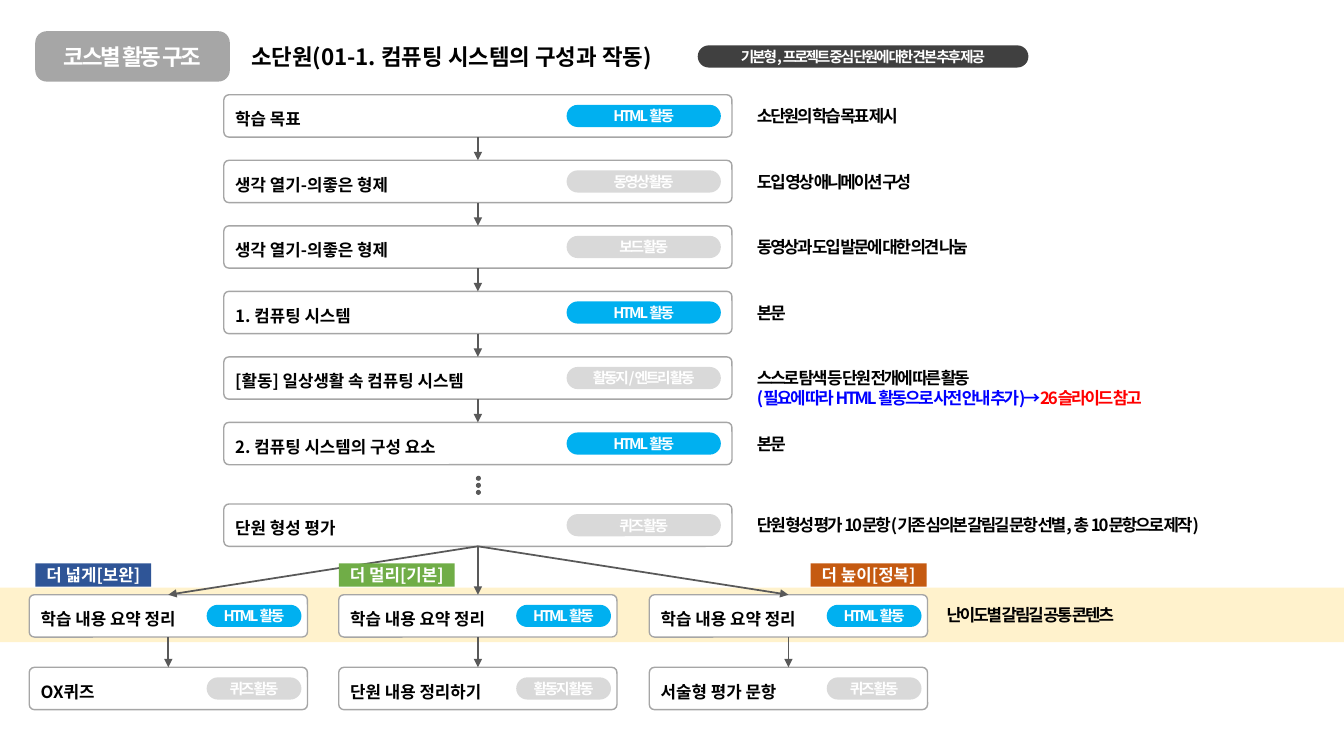
from lxml.etree import SubElement
from pptx import Presentation
from pptx.dml.color import RGBColor
from pptx.enum.shapes import MSO_CONNECTOR, MSO_SHAPE
from pptx.enum.text import MSO_ANCHOR, MSO_AUTO_SIZE, PP_ALIGN
from pptx.oxml.ns import qn
from pptx.util import Inches, Pt

FONT = "Noto Sans CJK KR"
BLACK = RGBColor(0x00, 0x00, 0x00)
WHITE = RGBColor(0xFF, 0xFF, 0xFF)
BLUE = RGBColor(0x00, 0x00, 0xFF)
RED = RGBColor(0xFF, 0x00, 0x00)
GREY = RGBColor(0xA6, 0xA6, 0xA6)
ARROW_GREY = RGBColor(0x59, 0x59, 0x59)
BADGE_GREY = RGBColor(0x40, 0x40, 0x40)
PILL_GREY = RGBColor(0xD9, 0xD9, 0xD9)
PILL_BLUE = RGBColor(0x00, 0xB0, 0xF0)
CREAM = RGBColor(0xFF, 0xF2, 0xCC)
NAVY = RGBColor(0x2F, 0x55, 0x97)
GREEN = RGBColor(0x70, 0xAD, 0x47)
ORANGE = RGBColor(0xC5, 0x5A, 0x11)

HTML = "HTML 활동"
QUIZ = "퀴즈 활동"
BOX_H = 0.42
STEP_X, STEP_W, STEP_TOP, STEP_PITCH = 2.22, 5.04, 0.94, 0.65
ASSESS_TOP = 5
BRANCH_W, SUMMARY_TOP, TASK_TOP = 2.76, 5.9, 6.62

STEPS = [
    ("학습 목표", HTML, "소단원의 학습 목표 제시"),
    ("생각 열기-의좋은 형제", "동영상 활동", "도입 영상 애니메이션 구성"),
    ("생각 열기-의좋은 형제", "보드 활동", "동영상과 도입 발문에 대한 의견 나눔"),
    ("1. 컴퓨팅 시스템", HTML, "본문"),
    ("[활동] 일상생활 속 컴퓨팅 시스템", "활동지/엔트리 활동",
     "스스로 탐색 등 단원 전개에 따른 활동"),
    ("2. 컴퓨팅 시스템의 구성 요소", HTML, "본문"),
]
ACTIVITY_STEP = 4
# box left, tag left, tag text, tag colour, task, task activity
BRANCHES = [
    (0.29, 0.35, "더 넓게[보완]", NAVY, "OX퀴즈", QUIZ),
    (3.36, 3.36, "더 멀리[기본]", GREEN, "단원 내용 정리하기", "활동지 활동"),
    (6.44, 8.04, "더 높이[정복]", ORANGE, "서술형 평가 문항", QUIZ),
]


def style(p, size, color, spacing=None):
    """Bold font for Latin and Korean letters, with optional tracking in points."""
    p.font.size, p.font.bold, p.font.name = Pt(size), True, FONT
    p.font.color.rgb = color
    rpr = p._p.get_or_add_pPr().get_or_add_defRPr()
    SubElement(rpr, qn("a:ea"), typeface=FONT)
    if spacing:
        rpr.set("spc", str(int(spacing * 100)))


def add_block(shapes, kind, x, y, w, h, fill=None, line=None, adj=None):
    sp = shapes.add_shape(kind, Inches(x), Inches(y), Inches(w), Inches(h))
    sp.shadow.inherit = False
    if adj is not None:
        sp.adjustments[0] = adj
    if fill is None:
        sp.fill.background()
    else:
        sp.fill.solid()
        sp.fill.fore_color.rgb = fill
    if line is None:
        sp.line.fill.background()
    else:
        sp.line.color.rgb = line
        sp.line.width = Pt(1)
    return sp


def add_label(s, x, y, w, h, text, fill, size=10.5, adj=0.5, spacing=-1.5):
    """Filled block with centred white text."""
    sp = add_block(s.shapes, MSO_SHAPE.ROUNDED_RECTANGLE, x, y, w, h, fill, adj=adj)
    tf = sp.text_frame
    tf.vertical_anchor = MSO_ANCHOR.MIDDLE
    p = tf.paragraphs[0]
    p.text, p.alignment = text, PP_ALIGN.CENTER
    style(p, size, WHITE, spacing)
    return tf


def add_box(s, x, y, w, text, activity, pill_x, pill_w, fill=None):
    """Outlined box with a pill that names its activity."""
    sp = add_block(s.shapes, MSO_SHAPE.ROUNDED_RECTANGLE, x, y, w, BOX_H,
                   fill, GREY, 0.122)
    sp.text_frame.vertical_anchor = MSO_ANCHOR.MIDDLE
    p = sp.text_frame.paragraphs[0]
    p.text, p.alignment, p.line_spacing = text, PP_ALIGN.LEFT, 1.3
    style(p, 12, BLACK)
    add_label(s, x + pill_x, y + 0.1, pill_w, 0.22, activity,
              PILL_BLUE if activity == HTML else PILL_GREY)
    return sp


def add_step(s, y, text, activity):
    return add_box(s, STEP_X, y, STEP_W, text, activity, 3.4, 1.53)


def add_branch_box(s, x, y, text, activity, fill=None):
    return add_box(s, x, y, BRANCH_W, text, activity, 1.76, 0.94, fill)


def add_note(s, x, y, w, text, h=0.3):
    tf = s.shapes.add_textbox(Inches(x), Inches(y), Inches(w), Inches(h)).text_frame
    tf.word_wrap = True
    tf.auto_size = MSO_AUTO_SIZE.SHAPE_TO_FIT_TEXT
    p = tf.paragraphs[0]
    p.text = text
    style(p, 12, BLACK, -1.5)
    return tf


def add_activity_hint(tf):
    p = tf.add_paragraph()
    style(p, 12, BLACK, -1.5)
    for text, color in (("(필요에 따라 HTML 활동으로 사전 안내 추가)→", BLUE),
                        ("26슬라이드 참고", RED)):
        r = p.add_run()
        r.text = text
        r.font.color.rgb = color


def add_arrow(s, upper, lower):
    """Arrow from the bottom of one box to the top of another."""
    c = s.shapes.add_connector(MSO_CONNECTOR.STRAIGHT, 0, 0, 0, 0)
    c.begin_connect(upper, 2)
    c.end_connect(lower, 0)
    c.line.color.rgb = ARROW_GREY
    c.line.width = Pt(1.25)
    SubElement(c.line._get_or_add_ln(), qn("a:tailEnd"), type="triangle")
    SubElement(c._element.spPr, qn("a:effectLst"))


def add_heading(s):
    title = s.shapes.title
    title.left, title.top = Inches(2.39), Inches(0.38)
    title.width, title.height = Inches(5.29), Inches(0.37)
    tf = title.text_frame
    tf.vertical_anchor = MSO_ANCHOR.TOP
    p = tf.paragraphs[0]
    p.text, p.alignment = "소단원(01-1. 컴퓨팅 시스템의 구성과 작동)", PP_ALIGN.LEFT
    style(p, 16, BLACK)
    add_label(s, 0.35, 0.31, 1.93, 0.5, "코스별 활동 구조", GREY, 16, 0.226)
    add_label(s, 6.92, 0.45, 3.28, 0.22,
              "기본형, 프로젝트 중심 단원에 대한 견본 추후 제공", BADGE_GREY)


def add_steps(s):
    previous = None
    for i, (text, activity, note) in enumerate(STEPS):
        y = STEP_TOP + i * STEP_PITCH
        box = add_step(s, y, text, activity)
        if previous is not None:
            add_arrow(s, previous, box)
        previous = box
        is_activity = i == ACTIVITY_STEP
        tf = add_note(s, 7.41, y + 0.06, 5.04, note, 0.5 if is_activity else 0.3)
        if is_activity:
            add_activity_hint(tf)


def add_dots(s):
    group = s.shapes.add_group_shape()
    for i in range(3):
        add_block(group.shapes, MSO_SHAPE.OVAL, 4.72, 4.72 + i * 0.07, 0.05, 0.05,
                  ARROW_GREY)


def add_branches(s, assessment):
    for x, tag_x, tag, color, task, activity in BRANCHES:
        summary = add_branch_box(s, x, SUMMARY_TOP, "학습 내용 요약 정리", HTML, WHITE)
        add_arrow(s, assessment, summary)
        add_arrow(s, summary, add_branch_box(s, x, TASK_TOP, task, activity))
        tf = add_label(s, tag_x, 5.59, 1.15, 0.23, tag, color, 12, 0, None)
        tf.margin_left = tf.margin_right = tf.margin_top = tf.margin_bottom = 0


def main():
    prs = Presentation()
    prs.slide_width, prs.slide_height = Inches(13.33), Inches(7.5)
    s = prs.slides.add_slide(prs.slide_layouts[5])
    add_heading(s)
    add_block(s.shapes, MSO_SHAPE.RECTANGLE, 0, 5.83, 13.33, 0.54, CREAM)
    add_steps(s)
    add_dots(s)
    assessment = add_step(s, ASSESS_TOP, "단원 형성 평가", QUIZ)
    add_note(s, 7.41, ASSESS_TOP + 0.06, 5.04,
             "단원 형성 평가 10문항(기존 심의본 갈림길 문항 선별, 총 10문항으로 제작)")
    add_branches(s, assessment)
    add_note(s, 9.29, 5.95, 2.25, "난이도별 갈림길 공통 콘텐츠")
    prs.save("out.pptx")


if __name__ == "__main__":
    main()
